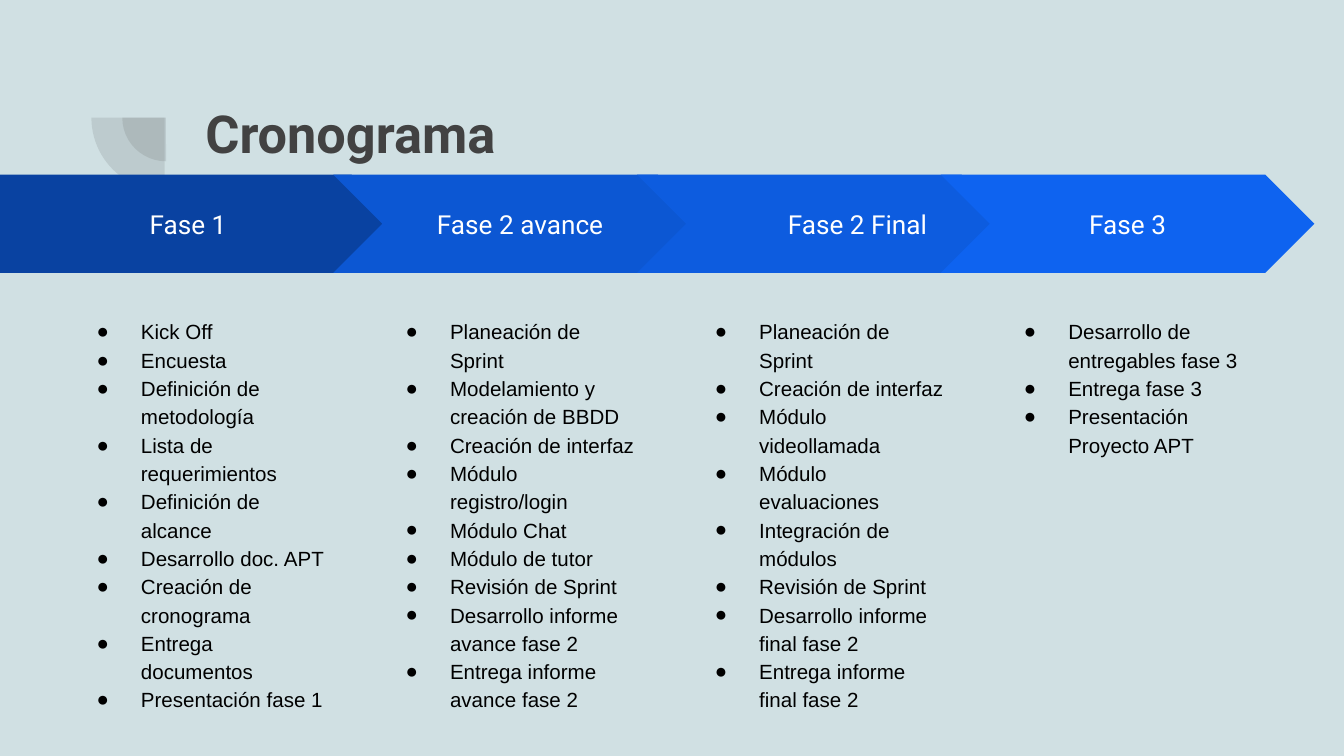
from dataclasses import dataclass
from typing import Any

from lxml import etree
from pptx import Presentation
from pptx import util as u
from pptx.dml.color import RGBColor
from pptx.enum import shapes, text
from pptx.oxml.ns import qn

PHASES = [
    ("Fase 1", "0942A1", [
        "Kick Off", "Encuesta", "Definición de metodología",
        "Lista de requerimientos", "Definición de alcance",
        "Desarrollo doc. APT", "Creación de cronograma",
        "Entrega documentos", "Presentación fase 1"]),
    ("Fase 2 avance", "0C57D3", [
        "Planeación de Sprint", "Modelamiento y creación de BBDD",
        "Creación de interfaz", "Módulo registro/login", "Módulo Chat",
        "Módulo de tutor", "Revisión de Sprint",
        "Desarrollo informe avance fase 2", "Entrega informe avance fase 2"]),
    ("Fase 2 Final", "0D5CDF", [
        "Planeación de Sprint", "Creación de interfaz", "Módulo videollamada",
        "Módulo evaluaciones", "Integración de módulos", "Revisión de Sprint",
        "Desarrollo informe final fase 2", "Entrega informe final fase 2"]),
    ("Fase 3", "0E63F0", [
        "Desarrollo de entregables fase 3", "Entrega fase 3",
        "Presentación Proyecto APT"]),
]


def color(value):
    return RGBColor.from_string(value)


def write(frame, lines, size, font, ink, bold=False, align=text.PP_ALIGN.LEFT,
          anchor=text.MSO_ANCHOR.TOP, indent=0, hanging=0, spacing=None, bullet=None):
    frame.word_wrap = True
    frame.vertical_anchor = anchor
    frame.margin_left = frame.margin_right = u.Inches(0.1)
    frame.margin_top = frame.margin_bottom = u.Inches(0.1)
    for index, line in enumerate(lines):
        paragraph = frame.add_paragraph() if index else frame.paragraphs[0]
        paragraph.alignment = align
        if spacing:
            paragraph.line_spacing = spacing
        run = paragraph.add_run()
        run.text = line
        run.font.size = u.Pt(size)
        run.font.name = font
        run.font.bold = bold
        run.font.color.rgb = color(ink)
        properties = paragraph._p.get_or_add_pPr()
        properties.set("marL", str(u.Inches(indent)))
        properties.set("indent", str(u.Inches(hanging)))
        if bullet:
            bullet_color = etree.SubElement(properties, qn("a:buClr"))
            etree.SubElement(bullet_color, qn("a:srgbClr"), val=ink)
            etree.SubElement(properties, qn("a:buFont"), typeface=font)
            etree.SubElement(properties, qn("a:buChar"), char=bullet)


@dataclass
class Timeline:
    slide: Any
    heading_font: str = "Roboto"
    body_font: str = "Arial"
    dark: str = "424242"
    light: str = "FFFFFF"
    ink: str = "000000"

    def background(self, fill):
        self.slide.background.fill.solid()
        self.slide.background.fill.fore_color.rgb = color(fill)

    def shape(self, kind, box, fill, adjustments):
        shape = self.slide.shapes.add_shape(kind, *map(u.Inches, box))
        shape.shadow.inherit = False
        shape.fill.solid()
        shape.fill.fore_color.rgb = color(fill)
        shape.line.fill.background()
        for index, value in enumerate(adjustments):
            shape.adjustments[index] = value
        return shape

    def quarter(self, left, top, size):
        pie = self.shape(shapes.MSO_SHAPE.PIE, (left, top, size, size), self.dark, (107.93, 162))
        pie.rotation = 270
        shade = pie.fill._xPr.find(qn("a:solidFill"))[0]
        etree.SubElement(shade, qn("a:alpha"), val="13000")

    def textbox(self, box, lines, **style):
        area = self.slide.shapes.add_textbox(*map(u.Inches, box))
        write(area.text_frame, lines, **style)

    def title(self, box, words):
        self.textbox(box, [words], size=28, font=self.heading_font, ink=self.dark, bold=True)

    def arrow(self, kind, box, fill, label, indent):
        arrow = self.shape(kind, box, fill, (0.5,))
        write(arrow.text_frame, [label], size=14, font=self.heading_font, ink=self.light,
              align=text.PP_ALIGN.CENTER, anchor=text.MSO_ANCHOR.MIDDLE, indent=indent)

    def tasks(self, box, items):
        self.textbox(box, items, size=11, font=self.body_font, ink=self.ink,
                     indent=0.5, hanging=-0.33, spacing=1.15, bullet="●")


def main():
    deck = Presentation()
    deck.slide_width = u.Inches(10)
    deck.slide_height = deck.slide_width * 9 // 16
    timeline = Timeline(deck.slides.add_slide(deck.slide_layouts[6]))
    timeline.background("D0E0E3")
    timeline.quarter(0.91, 0.55, 0.65)
    timeline.quarter(0.68, 0.33, 1.09)
    timeline.title((1.43, 0.65, 7.69, 1.09), "Cronograma")

    for index, (phase, fill, items) in enumerate(PHASES):
        if index:
            kind, left, width = shapes.MSO_SHAPE.CHEVRON, 0.22 + 2.26 * index, 2.78
        else:
            kind, left, width = shapes.MSO_SHAPE.PENTAGON, 0, 2.98
        indent = 0.5 if phase == "Fase 2 Final" else 0
        timeline.arrow(kind, (left, 1.3, width, 0.73), fill, phase, indent)
        timeline.tasks((0.45 + 2.3 * index, 2.25, 2.08, 2.86), items)

    deck.save("out.pptx")


if __name__ == "__main__":
    main()
